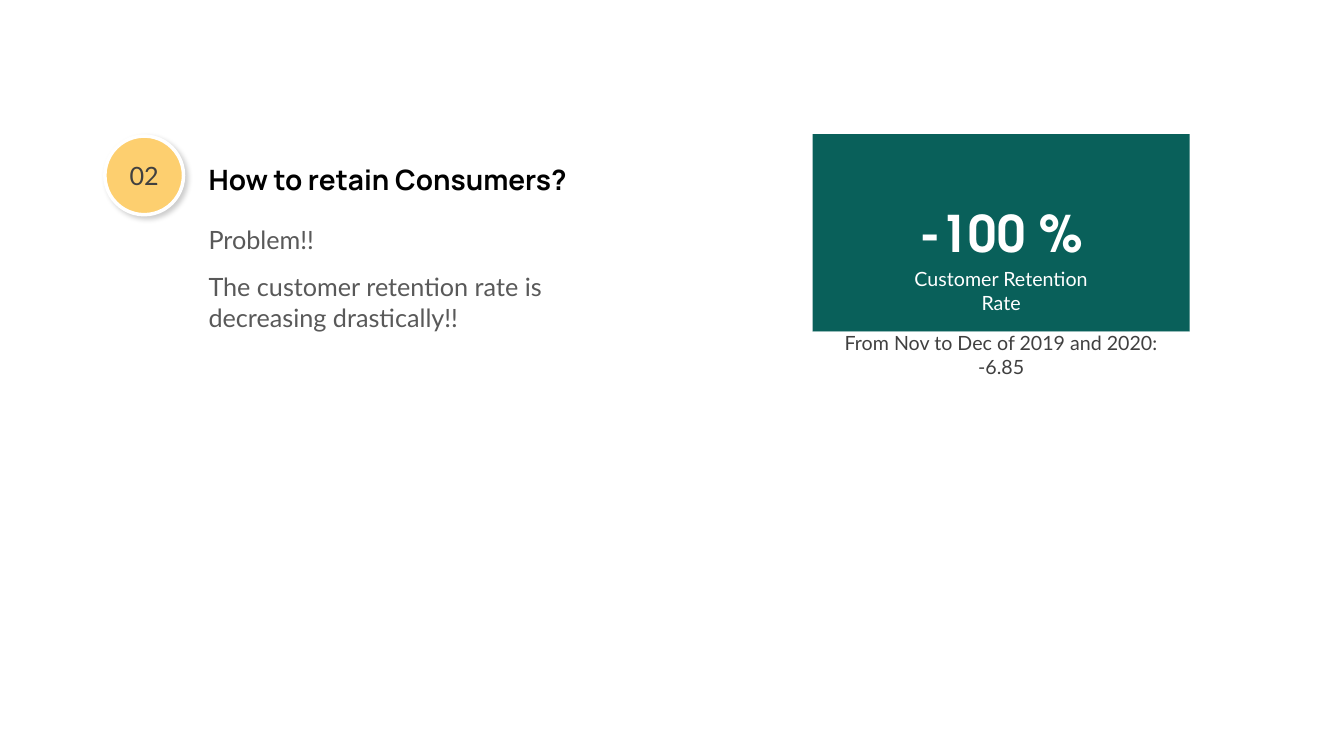
import pptx
import pptx.util
import pptx.dml.color
import pptx.enum.shapes
import pptx.enum.text
import pptx.oxml
import pptx.oxml.ns

Inches = pptx.util.Inches
Pt = pptx.util.Pt
SHAPES = pptx.enum.shapes.MSO_SHAPE
ALIGN = pptx.enum.text.PP_ALIGN

TITLE = {"size": Pt(20), "name": "Manrope", "bold": True}
BODY = {"size": Pt(18), "name": "Lato"}
LABEL = {"size": Pt(14), "name": "Lato"}
FIGURE = {"size": Pt(36), "name": "TeX Gyre Adventor", "bold": True}


def color(value):
    return pptx.dml.color.RGBColor.from_string(value)


def write(frame, lines, font, ink, align=ALIGN.LEFT, before=0):
    frame.word_wrap = True
    for index, line in enumerate(lines):
        para = frame.add_paragraph() if index else frame.paragraphs[0]
        para.alignment = align
        para.space_before = Pt(before)
        span = para.add_run()
        span.text = line
        for key, value in font.items():
            setattr(span.font, key, value)
        span.font.color.rgb = color(ink)


def add_text(page, place, lines, font, ink, **layout):
    box = page.shapes.add_textbox(*map(Inches, place))
    box.text_frame.auto_size = pptx.enum.text.MSO_AUTO_SIZE.SHAPE_TO_FIT_TEXT
    write(box.text_frame, lines, font, ink, **layout)


def add_panel(shapes, kind, place, fill, line, font, ink, before=0):
    panel = shapes.add_shape(kind, *map(Inches, place))
    panel.shadow.inherit = False
    panel.fill.solid()
    panel.fill.fore_color.rgb = color(fill)
    panel.line.fill.background()
    panel.text_frame.vertical_anchor = pptx.enum.text.MSO_ANCHOR.MIDDLE
    write(panel.text_frame, [line], font, ink, align=ALIGN.CENTER, before=before)
    return panel


def add_badge(page, place, number):
    badge = add_panel(page.shapes, SHAPES.OVAL, place, "FDCF6F", number, BODY, "404040")
    badge.line.color.rgb = color("FFFFFF")
    badge.line.width = Pt(2.5)
    effects = badge.element.spPr.find(pptx.oxml.ns.qn("a:effectLst"))
    effects.append(pptx.oxml.parse_xml(
        f'<a:outerShdw {pptx.oxml.ns.nsdecls("a")} blurRad="{Pt(4)}" dist="{Pt(3)}" '
        f'dir="{45 * 60000}" algn="tl" rotWithShape="0">'
        '<a:srgbClr val="000000"><a:alpha val="20000"/></a:srgbClr></a:outerShdw>'))


def add_metric_card(page, left, top, width):
    card = page.shapes.add_group_shape()
    height = 1.96
    add_panel(card.shapes, SHAPES.RECTANGLE, (left, top, width, height),
              "09605A", "-100 %", FIGURE, "FFFFFF", before=6)
    add_panel(card.shapes, SHAPES.RECTANGLE, (left, top + height, width, 0.46),
              "FFFFFF", "From Nov to Dec of 2019 and 2020: -6.85", LABEL, "404040")
    add_text(page, (8.8, 2.6, 2.26, 0.34), ["Customer Retention Rate"],
             LABEL, "FFFFFF", align=ALIGN.CENTER, before=6)


def main():
    deck = pptx.Presentation()
    deck.slide_width = Inches(13.33)
    deck.slide_height = Inches(7.5)
    page = deck.slides.add_slide(deck.slide_layouts[6])
    add_text(page, (1.97, 1.56, 3.97, 0.44), ["How to retain Consumers?"],
             TITLE, "000000", before=12)
    add_text(page, (1.97, 2.18, 3.87, 1.18),
             ["Problem!!", "The customer retention rate is decreasing drastically!!"],
             BODY, "595959", before=12)
    add_badge(page, (1.04, 1.35, 0.78, 0.78), "02")
    add_metric_card(page, 8.06, 1.33, 3.74)
    deck.save("out.pptx")


if __name__ == "__main__":
    main()
